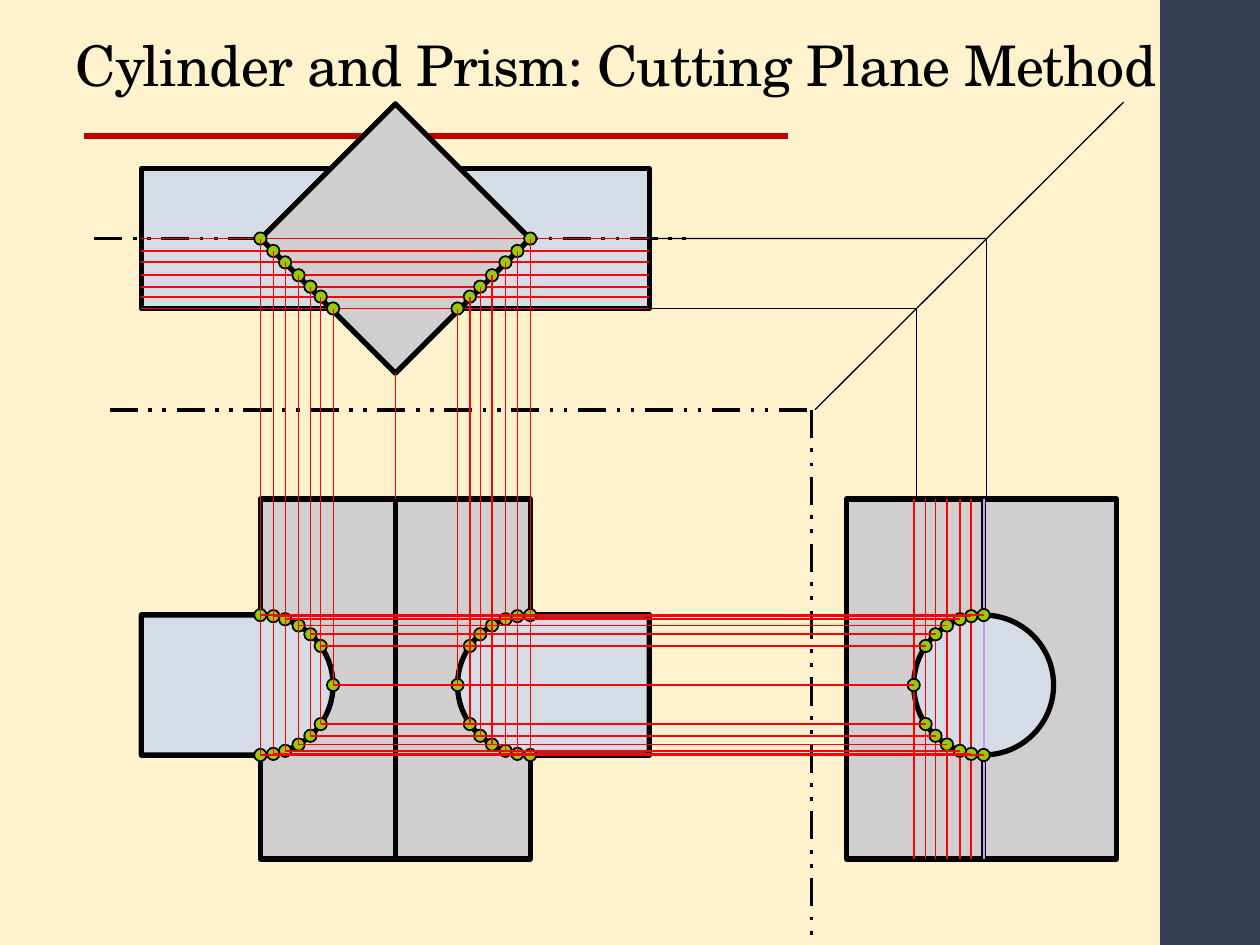
from collections import namedtuple
from math import cos, pi, sin, sqrt

from lxml.etree import SubElement
from pptx import Presentation
from pptx.dml.color import RGBColor
from pptx.enum.dml import MSO_LINE
from pptx.enum.shapes import MSO_CONNECTOR, MSO_SHAPE
from pptx.enum.text import MSO_ANCHOR, PP_ALIGN
from pptx.oxml.ns import qn
from pptx.util import Cm, Pt

CREAM = RGBColor(0xFF, 0xF2, 0xCC)
NAVY = RGBColor(0x33, 0x3F, 0x50)
CRIMSON = RGBColor(0xC0, 0x00, 0x00)
BLACK = RGBColor(0x00, 0x00, 0x00)
RED = RGBColor(0xFF, 0x00, 0x00)
LILAC = RGBColor(0xCC, 0x99, 0xFF)
PALE_BLUE = RGBColor(0xD6, 0xDC, 0xE5)
GREY = RGBColor(0xD0, 0xCE, 0xCE)
LIME = RGBColor(0x99, 0xCC, 0x00)

TITLE_FONT = {"name": "TeX Gyre Schola", "size": Pt(32), "bold": False}
TITLE_FRAME = {"word_wrap": True, "vertical_anchor": MSO_ANCHOR.BOTTOM}
TITLE_PARAGRAPH = {"alignment": PP_ALIGN.LEFT, "line_spacing": 0.9}

Box = namedtuple("Box", "x y w h")
RADIUS = 1.41
DEPTHS = [0, 0.25, 0.48, 0.74, 0.97, 1.17, RADIUS]
PRISM_W = 5.44
DIAMOND = 3.84
HALF_WIDTH = 2.72
SLOPE = 1.04
DOT = 0.25
DASH = MSO_LINE.DASH_DOT_DOT


def set_all(obj, values):
    """Set every attribute in the dict on the object."""
    for name, value in values.items():
        setattr(obj, name, value)


def paint(sp, fill, width=None):
    """Give a shape a flat fill and, with a width, a black outline."""
    sp.shadow.inherit = False
    sp.fill.solid()
    sp.fill.fore_color.rgb = fill
    if width:
        sp.line.color.rgb = BLACK
        sp.line.width = Pt(width)
    else:
        sp.line.fill.background()
    return sp


def add_shape(slide, box, fill, width=None, kind=MSO_SHAPE.RECTANGLE):
    """Add a preset shape filling the box."""
    return paint(slide.shapes.add_shape(kind, *map(Cm, box)), fill, width)


def add_line(slide, start, end, color=RED, width=1, dash=None):
    """Add a straight connector between two points."""
    ends = map(Cm, (*start, *end))
    line = slide.shapes.add_connector(MSO_CONNECTOR.STRAIGHT, *ends)
    line.line.color.rgb = color
    line.line.width = Pt(width)
    if dash:
        line.line.dash_style = dash
    SubElement(line._element.spPr, qn("a:effectLst"))
    return line


def add_dot(slide, x, y):
    """Add an intersection point centred on x, y."""
    box = Box(x - DOT / 2, y - DOT / 2, DOT, DOT)
    add_shape(slide, box, LIME, 1, MSO_SHAPE.OVAL)


def slice_x(cx, side, depth):
    """Return where a cutting plane meets the prism face on one side."""
    return cx + side * (HALF_WIDTH - SLOPE * depth)


def slice_heights(cy, depth):
    """Return the upper and lower levels of a cutting plane on the cylinder."""
    rise = sqrt(RADIUS ** 2 - depth ** 2)
    return sorted({cy - rise, cy + rise})


def frame(slide, box):
    """Add the background, side band, rule and title."""
    slide.background.fill.solid()
    slide.background.fill.fore_color.rgb = CREAM
    add_shape(slide, Box(box.x + 23.39, box.y, 2.01, box.h), NAVY)
    add_line(slide, (box.x + 1.7, box.y + 2.74), (box.x + 15.88, box.y + 2.74), CRIMSON, 3)
    title = slide.shapes.title
    place = Box(box.x + 1.27, box.y + 0.28, 22.86, 1.83)
    set_all(title, dict(zip(("left", "top", "width", "height"), map(Cm, place))))
    tf = title.text_frame
    set_all(tf, TITLE_FRAME)
    p = tf.paragraphs[0]
    set_all(p, TITLE_PARAGRAPH)
    r = p.add_run()
    r.text = "Cylinder and Prism: Cutting Plane Method"
    set_all(r.font, TITLE_FONT)
    r.font.color.rgb = BLACK
    r.font._element.set("spc", "-50")


def half_cylinder(slide, box, side):
    """Add the cylinder end on one side, closed by its curve of intersection."""
    cx, cy = box.x + box.w / 2, box.y + box.h / 2
    outer, edge = cx + side * box.w / 2, cx + side * HALF_WIDTH
    angles = [pi / 2 - pi * i / 36 for i in range(37)]
    arc = [(edge - side * SLOPE * RADIUS * cos(a), cy + RADIUS * sin(a)) for a in angles]
    points = [(Cm(x), Cm(y)) for x, y in [(outer, cy + RADIUS), *arc]]
    builder = slide.shapes.build_freeform(Cm(outer), Cm(cy - RADIUS))
    builder.add_line_segments(points, close=True)
    paint(builder.convert_to_shape(), PALE_BLUE, 3)


def front_view(slide, box):
    """Add the front view with its curves of intersection."""
    cx, cy = box.x + box.w / 2, box.y + 3.75
    cylinder = Box(box.x, cy - RADIUS, box.w, 2 * RADIUS)
    add_shape(slide, cylinder, PALE_BLUE, 3)
    prism = add_shape(slide, Box(cx - PRISM_W / 2, box.y, PRISM_W, box.h), GREY, 3)
    edge = add_line(slide, (cx, box.y), (cx, box.y + box.h), BLACK, 3)
    edge.begin_connect(prism, 0)
    edge.end_connect(prism, 2)
    for side in (-1, 1):
        half_cylinder(slide, cylinder, side)
        for depth in DEPTHS:
            for y in slice_heights(cy, depth):
                add_dot(slide, slice_x(cx, side, depth), y)


def top_view(slide, box):
    """Add the top view with its cutting planes."""
    cx, cy = box.x + box.w / 2, box.y + box.h / 2
    cylinder = add_shape(slide, box, PALE_BLUE, 3)
    add_line(slide, (box.x - 0.95, cy), (box.x + 10.99, cy), BLACK, 2, DASH)
    diamond = Box(cx - DIAMOND / 2, cy - DIAMOND / 2, DIAMOND, DIAMOND)
    add_shape(slide, diamond, GREY, 3).rotation = 45
    for depth in DEPTHS:
        cut = add_line(slide, (box.x, cy + depth), (box.x + box.w, cy + depth))
        if depth == 0:
            cut.begin_connect(cylinder, 1)
            cut.end_connect(cylinder, 3)
    for side in (-1, 1):
        for depth in DEPTHS:
            add_dot(slide, slice_x(cx, side, depth), cy + depth)
    return cylinder


def side_view(slide, box):
    """Add the side view with its cutting planes."""
    cx, cy = box.x + 2.76, box.y + 3.75
    add_shape(slide, box, GREY, 3)
    add_line(slide, (cx, box.y), (cx, box.y + box.h), BLACK, 3)
    circle = Box(cx - RADIUS, cy - RADIUS, 2 * RADIUS, 2 * RADIUS)
    add_shape(slide, circle, PALE_BLUE, 3, MSO_SHAPE.OVAL)
    for depth in DEPTHS:
        x = cx - depth
        add_line(slide, (x, box.y), (x, box.y + box.h), RED if depth else LILAC)
    for depth in DEPTHS:
        for y in slice_heights(cy, depth):
            add_dot(slide, cx - depth, y)


def fold_lines(slide, box, cylinder, top, side):
    """Add the fold lines, the mitre line and the lines turned through it."""
    x, y = box.x + box.w, box.y
    add_line(slide, (box.x, y), (x, y), BLACK, 2, DASH)
    add_line(slide, (x - 0.05, y), (x - 0.05, y + box.h), BLACK, 2, DASH)
    add_line(slide, (x + 0.02, y), (x + 6.24, y - 6.2), BLACK, 0.75)
    for depth in (0, RADIUS):
        level = top.y + top.h / 2 + depth
        turn = x + 0.02 + y - level
        ray = add_line(slide, (top.x + top.w, level), (turn, level), BLACK, 0.75)
        if depth == 0:
            ray.begin_connect(cylinder, 3)
        add_line(slide, (turn, level), (turn, side.y), BLACK, 0.75)


def projectors(slide, top, front, side):
    """Join the cut points of the three views."""
    cx, top_y = top.x + top.w / 2, top.y + top.h / 2
    cy, side_x = front.y + 3.75, side.x + 2.76
    add_line(slide, (cx, top_y + DIAMOND / sqrt(2)), (cx, front.y), RED, 0.75)
    for depth in DEPTHS:
        levels = slice_heights(cy, depth)
        for y in levels:
            add_line(slide, (slice_x(cx, -1, depth), y), (side_x - depth, y))
        for face in (-1, 1):
            x = slice_x(cx, face, depth)
            add_line(slide, (x, top_y + depth), (x, levels[-1]), RED, 0.75)


def main():
    """Build the slide and save it."""
    prs = Presentation()
    prs.slide_width, prs.slide_height = Cm(25.4), Cm(19.05)
    slide = prs.slides.add_slide(prs.slide_layouts[5])
    top = Box(2.85, 3.4, 10.24, 2 * RADIUS)
    front = Box(2.85, 10.06, 10.24, 7.26)
    side = Box(17.07, 10.06, PRISM_W, 7.26)
    frame(slide, Box(0, 0, 25.4, 19.05))
    front_view(slide, front)
    cylinder = top_view(slide, top)
    fold_lines(slide, Box(2.21, 8.26, 14.2, 10.79), cylinder, top, side)
    side_view(slide, side)
    projectors(slide, top, front, side)
    prs.save("out.pptx")


if __name__ == "__main__":
    main()
